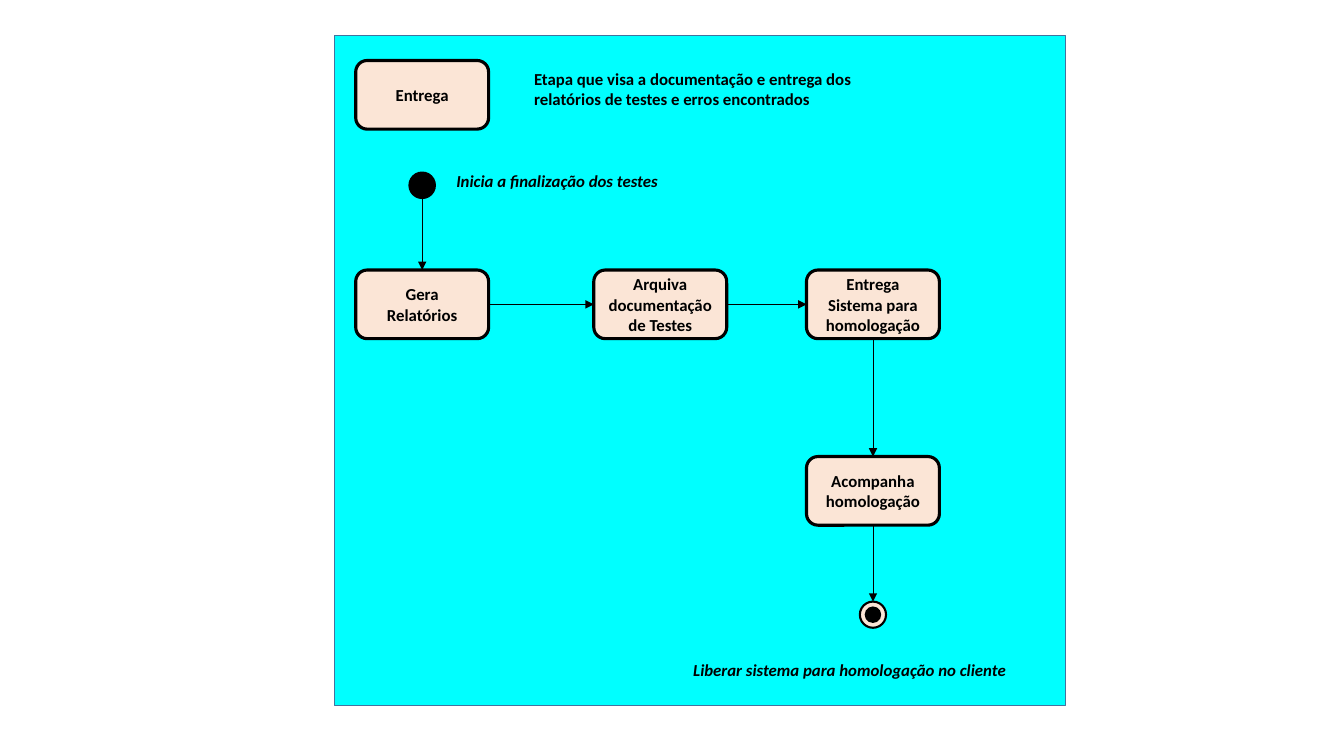
from lxml import etree
from pptx import Presentation
from pptx.dml.color import RGBColor
from pptx.enum.shapes import MSO_CONNECTOR, MSO_SHAPE
from pptx.enum.text import MSO_ANCHOR, PP_ALIGN
from pptx.oxml.ns import qn
from pptx.util import Cm, Pt

RECTANGLE = MSO_SHAPE.RECTANGLE
ROUNDED = MSO_SHAPE.ROUNDED_RECTANGLE
OVAL = MSO_SHAPE.OVAL
STRAIGHT = MSO_CONNECTOR.STRAIGHT
CENTER = PP_ALIGN.CENTER
LEFT = PP_ALIGN.LEFT
MIDDLE = MSO_ANCHOR.MIDDLE

CYAN = RGBColor(0x00, 0xFF, 0xFF)
PEACH = RGBColor(0xFB, 0xE5, 0xD6)
BLACK = RGBColor(0x00, 0x00, 0x00)
STEEL = RGBColor(0x43, 0x73, 0x9E)

FONT = "Calibri"
STEP_W, STEP_H = 3.35, 1.73
NODE = 0.66
CORE = 0.38

REPORT_X, ARCHIVE_X, DELIVERY_X = 10.64, 16.64, 22.0
TITLE_Y, START_Y, STEPS_Y, FOLLOW_Y, END_Y = 2.39, 4.67, 7.67, 12.37, 15.49


def write(frame, text, align, italic=False):
    """Put one bold run of text in a wrapping frame."""
    frame.word_wrap = True
    paragraph = frame.paragraphs[0]
    paragraph.alignment = align
    run = paragraph.add_run()
    run.text = text
    font = run.font
    font.name, font.size = FONT, Pt(12)
    font.bold, font.italic = True, italic
    font.color.rgb = BLACK


def add_centred(shapes, preset, centre, size, fill, line, weight):
    """Draw a preset shape around its centre."""
    (x, y), (width, height) = centre, size
    shape = shapes.add_shape(
        preset, Cm(x - width / 2), Cm(y - height / 2), Cm(width), Cm(height))
    shape.shadow.inherit = False
    shape.fill.solid()
    shape.fill.fore_color.rgb = fill
    shape.line.color.rgb = line
    shape.line.width = Pt(weight)
    return shape


def add_step(shapes, centre, label):
    """Draw a rounded activity box with its label."""
    step = add_centred(shapes, ROUNDED, centre, (STEP_W, STEP_H), PEACH, BLACK, 2.25)
    step.text_frame.vertical_anchor = MIDDLE
    write(step.text_frame, label, CENTER)


def add_node(shapes, centre, diameter, fill, weight):
    """Draw a round start or end marker."""
    add_centred(shapes, OVAL, centre, (diameter, diameter), fill, BLACK, weight)


def add_note(shapes, left, top, width, height, text, italic=False):
    """Place a left-aligned note."""
    note = shapes.add_textbox(Cm(left), Cm(top), Cm(width), Cm(height))
    write(note.text_frame, text, LEFT, italic)


def add_flow(shapes, start, end):
    """Draw a thin arrow between two points."""
    flow = shapes.add_connector(STRAIGHT, *(Cm(value) for value in start + end))
    flow.line.color.rgb = BLACK
    flow.line.width = Pt(0.5)
    etree.SubElement(flow.line._get_or_add_ln(), qn("a:tailEnd"), type="triangle")
    etree.SubElement(flow._element.spPr, qn("a:effectLst"))


def main():
    """Build the delivery stage diagram."""
    deck = Presentation()
    deck.slide_width, deck.slide_height = Cm(33.87), Cm(19.05)
    shapes = deck.slides.add_slide(deck.slide_layouts[6]).shapes

    add_centred(shapes, RECTANGLE, (17.64, 9.34), (18.42, 16.89), CYAN, STEEL, 1)

    for centre, label in (
        ((REPORT_X, TITLE_Y), "Entrega"),
        ((REPORT_X, STEPS_Y), "Gera Relatórios"),
        ((ARCHIVE_X, STEPS_Y), "Arquiva documentação de Testes"),
        ((DELIVERY_X, STEPS_Y), "Entrega Sistema para homologação"),
        ((DELIVERY_X, FOLLOW_Y), "Acompanha homologação"),
    ):
        add_step(shapes, centre, label)

    add_node(shapes, (REPORT_X, START_Y), NODE, BLACK, 1)
    end_marker = shapes.add_group_shape().shapes
    add_node(end_marker, (DELIVERY_X, END_Y), NODE, PEACH, 1.5)
    add_node(end_marker, (DELIVERY_X, END_Y), CORE, BLACK, 1)

    add_note(shapes, 13.21, 1.6, 10.19, 1.28,
             "Etapa que visa a documentação e entrega dos "
             "relatórios de testes e erros encontrados")
    add_note(shapes, 11.25, 4.17, 10.34, 0.77,
             "Inicia a finalização dos testes", italic=True)
    add_note(shapes, 17.22, 16.5, 9.14, 0.77,
             "Liberar sistema para homologação no cliente", italic=True)

    half_w, half_h, radius = STEP_W / 2, STEP_H / 2, NODE / 2
    add_flow(shapes, (REPORT_X, START_Y + radius), (REPORT_X, STEPS_Y - half_h))
    for source, target in ((REPORT_X, ARCHIVE_X), (ARCHIVE_X, DELIVERY_X)):
        add_flow(shapes, (source + half_w, STEPS_Y), (target - half_w, STEPS_Y))
    add_flow(shapes, (DELIVERY_X, STEPS_Y + half_h), (DELIVERY_X, FOLLOW_Y - half_h))
    add_flow(shapes, (DELIVERY_X, FOLLOW_Y + half_h), (DELIVERY_X, END_Y - radius))

    deck.save("out.pptx")


main()
